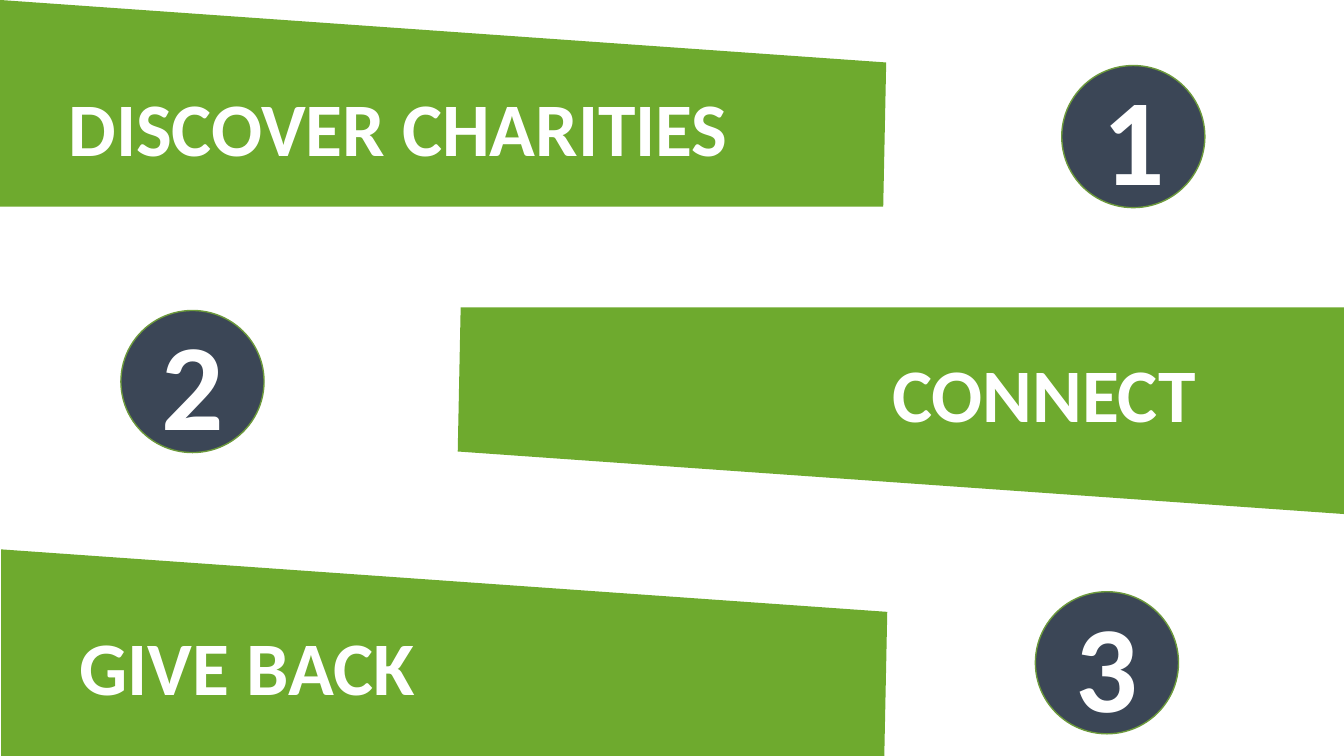
from lxml.etree import SubElement
from pptx import Presentation
from pptx.dml.color import RGBColor
from pptx.enum.shapes import MSO_SHAPE as Shape
from pptx.enum.text import MSO_ANCHOR as Anchor, PP_ALIGN as Align
from pptx.oxml.ns import qn
from pptx.util import Inches, Pt

COLORS = {"green": "6EAA2E", "slate": "333F50", "rim": "6C9A3B", "white": "FFFFFF"}


def write(frame, text, *, size, font, color, align=Align.LEFT, anchor=Anchor.TOP):
    frame.word_wrap = True
    frame.vertical_anchor = anchor
    para = frame.paragraphs[0]
    para.alignment = align
    span = para.add_run()
    span.text = text
    span.font.name, span.font.size, span.font.bold = font, Pt(size), True
    span.font.color.rgb = RGBColor.from_string(COLORS[color])


class StepsPage:
    """Draws on one page; all lengths are percent of the page's size."""

    font = "Calibri"
    title_size, number_size = 54, 88
    title_height = 13.47
    badge_size = (10.65, 18.8)
    # Steps from the banner's outer corner, mirrored for a right-hand banner
    banner_steps = [(0, 0), (65.94, 8.27), (65.72, 27.33), (0, 27.33)]

    def __init__(self, deck):
        self.deck = deck
        self.page = deck.slides.add_slide(deck.slide_layouts[6])
        self.page.background.fill.solid()
        self.page.background.fill.fore_color.rgb = self.rgb("white")

    def rgb(self, name):
        return RGBColor.from_string(COLORS[name])

    def spot(self, x, y):
        return (round(self.deck.slide_width * x / 100),
                round(self.deck.slide_height * y / 100))

    def paint(self, shape, fill, line=None):
        shape.shadow.inherit = False
        shape.fill.solid()
        shape.fill.fore_color.rgb = self.rgb(fill)
        if line:
            shape.line.color.rgb = self.rgb(line)
            shape.line.width = Pt(1)
        else:
            shape.line.fill.background()

    def banner(self, x, y, direction):
        points = [self.spot(x + direction * across, y + direction * down)
                  for across, down in self.banner_steps]
        outline = self.page.shapes.build_freeform(*points[0])
        outline.add_line_segments(points[1:], close=True)
        self.paint(outline.convert_to_shape(), "green")

    def title(self, text, x, y, width):
        box = self.page.shapes.add_textbox(
            *self.spot(x, y), *self.spot(width, self.title_height))
        write(box.text_frame, text, size=self.title_size, font=self.font, color="white")

    def badge(self, number, x, y):
        circle = self.page.shapes.add_shape(
            Shape.OVAL, *self.spot(x, y), *self.spot(*self.badge_size))
        self.paint(circle, "slate", line="rim")
        # Slight transparency of the fill
        tint = circle.fill._xPr.find(qn("a:solidFill"))[0]
        SubElement(tint, qn("a:alpha"), val="96000")
        write(circle.text_frame, str(number), size=self.number_size, font=self.font,
              color="white", align=Align.CENTER, anchor=Anchor.MIDDLE)


deck = Presentation()
deck.slide_width, deck.slide_height = Inches(13.33), Inches(7.5)
steps_page = StepsPage(deck)

# Each step: title, its place and width, banner corner and direction, badge place
STEPS = [
    ("DISCOVER CHARITIES", (4.35, 10, 51.46), (0, 0, 1), (79, 8.67)),
    ("CONNECT", (65.64, 45.2, 28.66), (100, 68, -1), (9, 41.07)),
    ("GIVE BACK", (5.18, 81.33, 51.46), (0.08, 72.67, 1), (77.04, 78.27)),
]
for number, (text, title_place, banner_place, badge_place) in enumerate(STEPS, 1):
    steps_page.banner(*banner_place)
    steps_page.title(text, *title_place)
    steps_page.badge(number, *badge_place)

deck.save("out.pptx")
